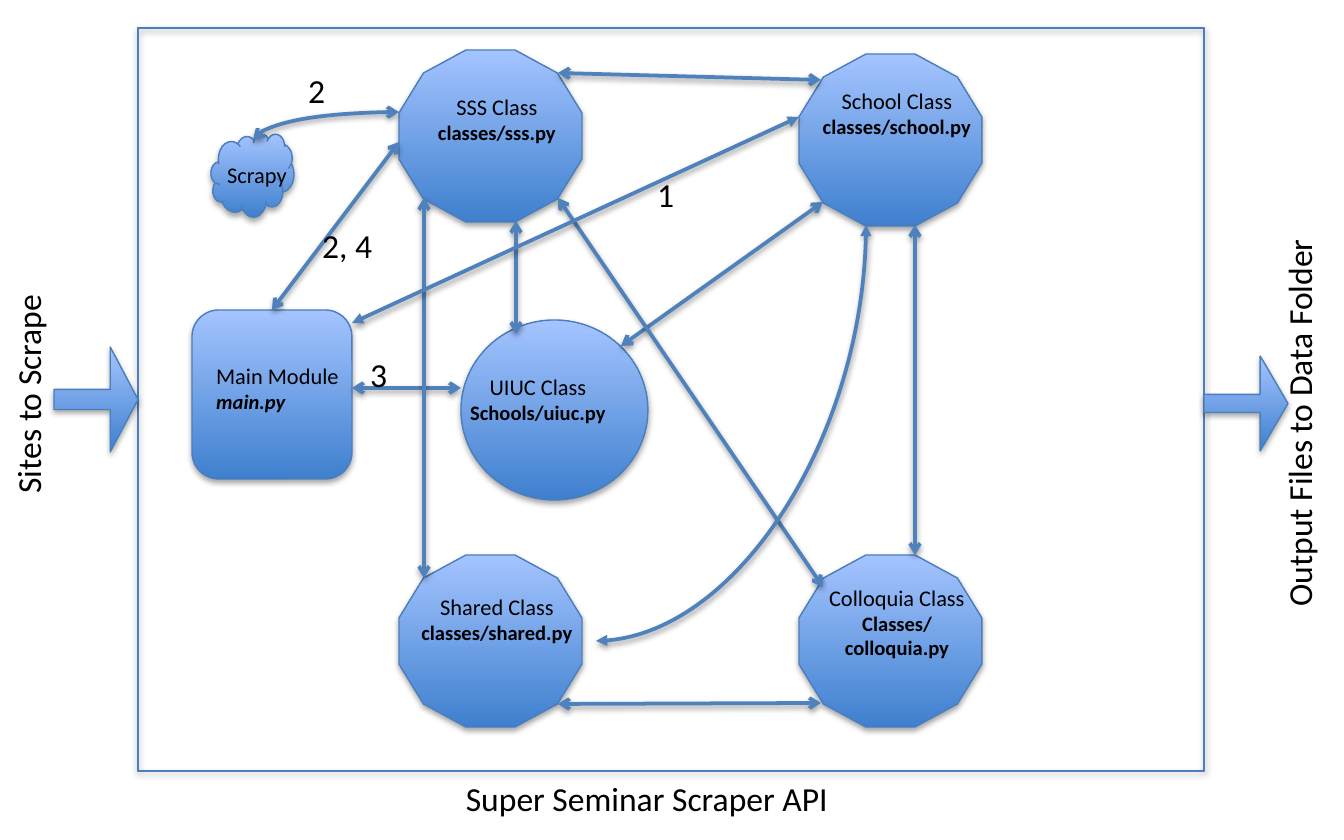
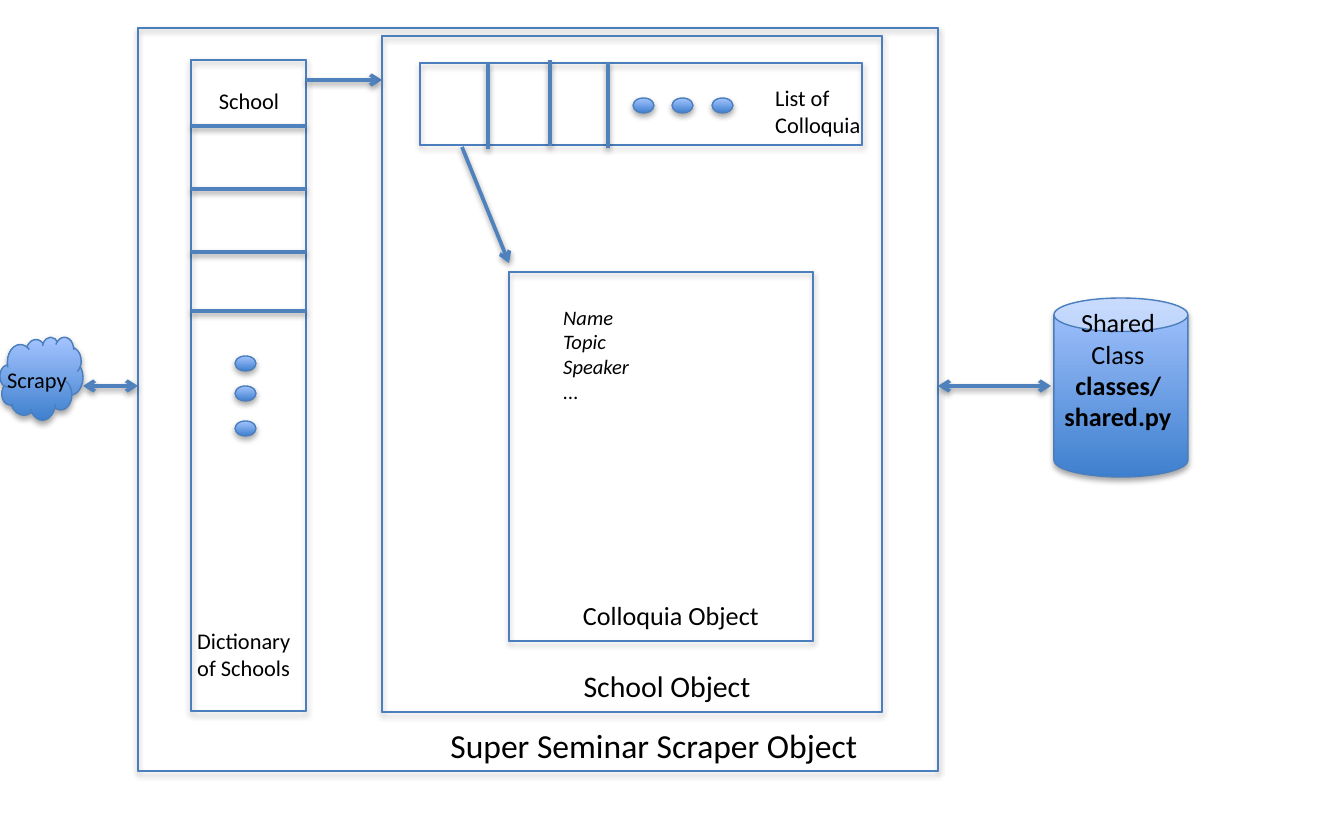
from pptx import Presentation
from pptx.dml.color import RGBColor
from pptx.enum.shapes import MSO_CONNECTOR, MSO_SHAPE
from pptx.enum.text import MSO_AUTO_SIZE, PP_ALIGN
from pptx.oxml import parse_xml
from pptx.oxml.ns import nsdecls, qn
from pptx.util import Emu, Inches, Pt

PX = 914400 / 134.4
FONT = "Calibri"
INK, EDGE, WIRE = "000000", "4B7EBC", "4F81BD"
DARK, LIGHT = "3F80CE", "A4C4FF"
LEFT, CENTER = PP_ALIGN.LEFT, PP_ALIGN.CENTER
STRAIGHT, CURVE = MSO_CONNECTOR.STRAIGHT, MSO_CONNECTOR.CURVE
FRAME, ARROW, BALL = MSO_SHAPE.FRAME, MSO_SHAPE.RIGHT_ARROW, MSO_SHAPE.OVAL
BLOCK, CLOUD, CAN = MSO_SHAPE.ROUNDED_RECTANGLE, MSO_SHAPE.CLOUD, MSO_SHAPE.CAN
NODE = MSO_SHAPE.DODECAGON
FIT = MSO_AUTO_SIZE.SHAPE_TO_FIT_TEXT


def px(*nums):
    """Turn picture pixels into EMU."""
    return [Emu(round(n * PX)) for n in nums]


def color(code):
    """Turn a hex string into a colour."""
    return RGBColor.from_string(code)


def shade(item, dist, alpha):
    """Give a shape or connector a soft shadow below it."""
    item._element.spPr.append(parse_xml(
        f'<a:effectLst {nsdecls("a")}><a:outerShdw blurRad="40000" dist="{dist}" '
        f'dir="5400000" rotWithShape="0"><a:srgbClr val="{INK}">'
        f'<a:alpha val="{alpha}"/></a:srgbClr></a:outerShdw></a:effectLst>'))


def solid(slide, kind, box, adjust=()):
    """Draw a preset shape with the shared gradient, outline and shadow."""
    shape = slide.shapes.add_shape(kind, *px(*box))
    for i, value in enumerate(adjust):
        shape.adjustments[i] = value
    shape.fill.gradient()
    shape.fill.gradient_angle = 90
    for stop, code in zip(shape.fill.gradient_stops, (DARK, LIGHT)):
        stop.color.rgb = color(code)
    shape.line.color.rgb = color(EDGE)
    shape.line.width = Pt(0.75)
    shade(shape, 23000, 35000)


def frame(slide, *box):
    """Draw an empty outlined box."""
    solid(slide, FRAME, box, (0,))


def label(slide, text, box, size=18, align=CENTER, turn=0):
    """Write a text box and return its paragraphs."""
    area = slide.shapes.add_textbox(*px(*box))
    area.rotation = turn
    body = area.text_frame
    body.word_wrap = True
    body.auto_size = FIT
    body.text = text
    for para in body.paragraphs:
        para.alignment = align
        para.font.name = FONT
        para.font.size = Pt(size)
        para.font.color.rgb = color(INK)
    return body.paragraphs


def module(slide, name, file, box, sizes=(12, 11), align=CENTER):
    """Write a name above its bold file name."""
    paras = label(slide, f"{name}\n{file}", box, sizes[0], align)
    paras[1].font.size = Pt(sizes[1])
    paras[1].font.bold = True
    return paras


def wire(slide, ends, head=None, tail=None, kind=STRAIGHT):
    """Draw a connector with optional arrowheads."""
    line = slide.shapes.add_connector(kind, *px(*ends))
    line.line.color.rgb = color(WIRE)
    line.line.width = Pt(2)
    props = line._element.spPr
    if kind == CURVE:
        props.find(qn("a:prstGeom")).set("prst", "curvedConnector2")
    for tag, tip in (("headEnd", head), ("tailEnd", tail)):
        if tip:
            props.get_or_add_ln().append(
                parse_xml(f'<a:{tag} {nsdecls("a")} type="{tip}"/>'))
    shade(line, 20000, 38000)


def link(slide, ends, tip="arrow", kind=STRAIGHT):
    """Draw a connector with the same arrowhead at both ends."""
    wire(slide, ends, tip, tip, kind)


def dots(slide, spots):
    """Draw the small balls that stand for more items."""
    for x, y in spots:
        solid(slide, BALL, (x, y, 21, 15))


def draw_api(slide):
    """Draw the modules and the links between them."""
    frame(slide, 138, 28, 1066, 743)
    label(slide, "Super Seminar Scraper API", (419, 771, 456, 54))
    label(slide, "Sites to Scrape", (-200, 367, 456, 54), turn=270)
    label(slide, "Output Files to Data Folder", (1071, 396, 456, 54), turn=270)
    for box in ((54, 347, 84, 105), (1204, 356, 84, 95)):
        solid(slide, ARROW, box, (0.191, 0.33))

    solid(slide, BLOCK, (192, 310, 160, 169))
    paras = module(slide, "Main Module", "main.py", (203, 356, 242, 67), align=LEFT)
    paras[1].font.italic = True
    solid(slide, BALL, (461, 320, 187, 180))
    module(slide, "UIUC Class", "Schools/uiuc.py", (399, 367, 278, 67))
    solid(slide, CLOUD, (211, 134, 83, 83))
    label(slide, "Scrapy", (192, 155, 130, 40), 12)
    for name, file, x, y, top, high in (
            ("School Class", "classes/school.py", 799, 54, 81, 109),
            ("SSS Class", "classes/sss.py", 399, 50, 87, 109),
            ("Shared Class", "classes/shared.py", 399, 555, 587, 109),
            ("Colloquia Class", "Classes/colloquia.py", 799, 555, 577, 132)):
        solid(slide, NODE, (x, y, 183, 172))
        module(slide, name, file, (x, top, 196, high))

    for ends in ((272, 310, 399, 142), (558, 73, 821, 80), (352, 388, 461, 388),
                 (621, 346, 823, 202), (424, 578, 424, 198), (915, 555, 915, 225),
                 (558, 704, 821, 703), (516, 221, 516, 334), (558, 198, 823, 587)):
        link(slide, ends)
    link(slide, (352, 323, 799, 117), "triangle")
    link(slide, (399, 112, 253, 140), kind=CURVE)
    link(slide, (596, 641, 866, 225), "triangle", CURVE)
    for text, x, y, wide in (("1", 644, 167, 44), ("2, 4", 309, 218, 81),
                             ("2", 295, 63, 58), ("3", 357, 347, 44)):
        label(slide, text, (x, y, wide, 54), align=LEFT)


def draw_data(slide):
    """Draw the nested objects and what they hold."""
    frame(slide, 138, 28, 800, 743)
    label(slide, "Super Seminar Scraper Object", (426, 718, 456, 54))
    solid(slide, CLOUD, (0, 337, 83, 83))
    label(slide, "Scrapy", (-28, 360, 130, 40), 12)
    link(slide, (83, 386, 138, 386))

    frame(slide, 191, 60, 115, 651)
    label(slide, "School", (184, 81, 130, 40), 12)
    for y in (126, 189, 252, 311):
        wire(slide, (191, y, 306, y))
    dots(slide, [(235, y) for y in (356, 386, 421)])
    label(slide, "Dictionary of Schools", (184, 621, 130, 67), 12, LEFT)
    wire(slide, (306, 80, 382, 80), tail="arrow")

    frame(slide, 382, 36, 500, 676)
    label(slide, "School Object", (439, 661, 456, 50), 16)
    frame(slide, 420, 63, 442, 82)
    for x, y in ((488, 63), (550, 60), (608, 62)):
        wire(slide, (x, y, x, y + 86))
    dots(slide, [(x, 98) for x in (633, 672, 712)])
    label(slide, "List of Colloquia", (762, 78, 130, 67), 12, LEFT)
    wire(slide, (462, 147, 509, 263), tail="arrow")

    frame(slide, 509, 272, 304, 369)
    label(slide, "Colloquia Object", (443, 593, 456, 46), 14)
    for para in label(slide, "Name\nTopic\nSpeaker\n...", (550, 298, 121, 113), 11, LEFT):
        para.font.italic = True
    solid(slide, CAN, (1054, 298, 134, 179))
    module(slide, "Shared Class", "classes/shared.py", (1051, 300, 134, 172), (14, 14))
    link(slide, (938, 386, 1051, 386))


def main():
    """Build both slides and save them."""
    deck = Presentation()
    deck.slide_width, deck.slide_height = Inches(10), Inches(6.25)
    for draw in (draw_api, draw_data):
        draw(deck.slides.add_slide(deck.slide_layouts[6]))
    deck.save("out.pptx")


main()
